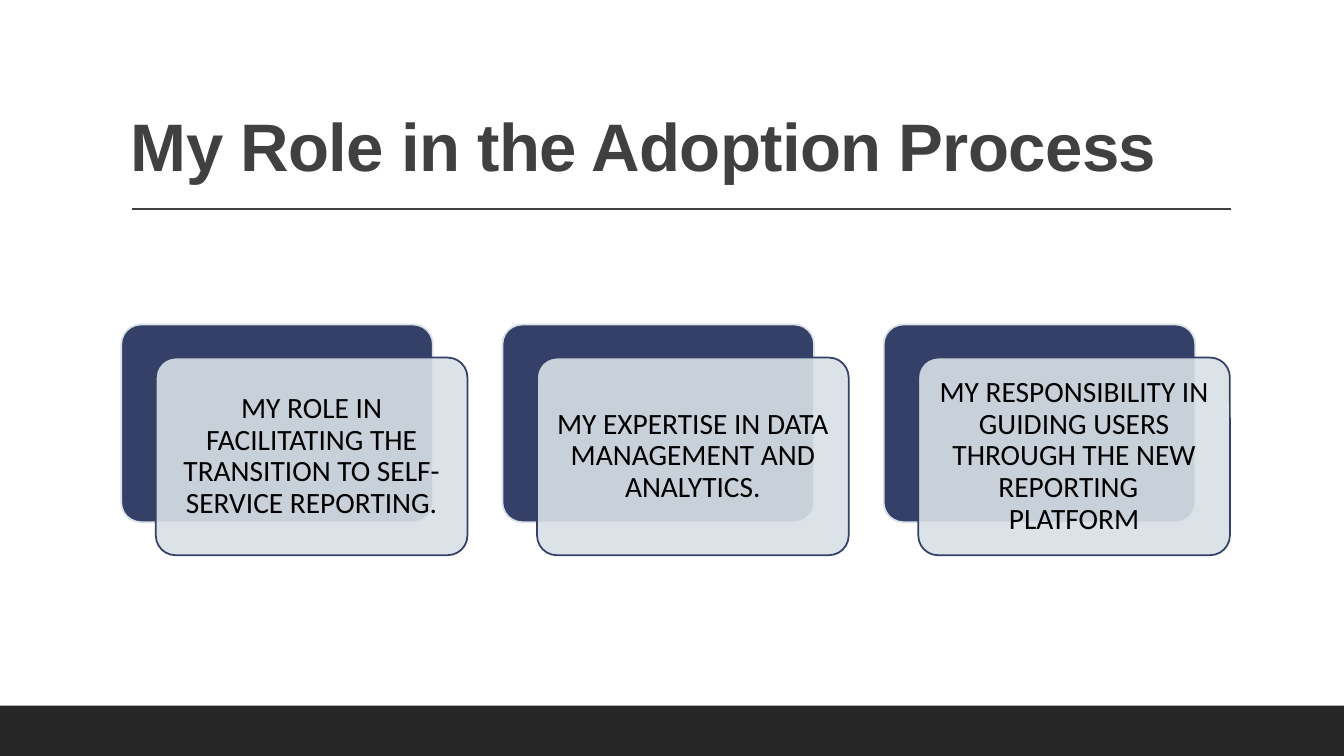
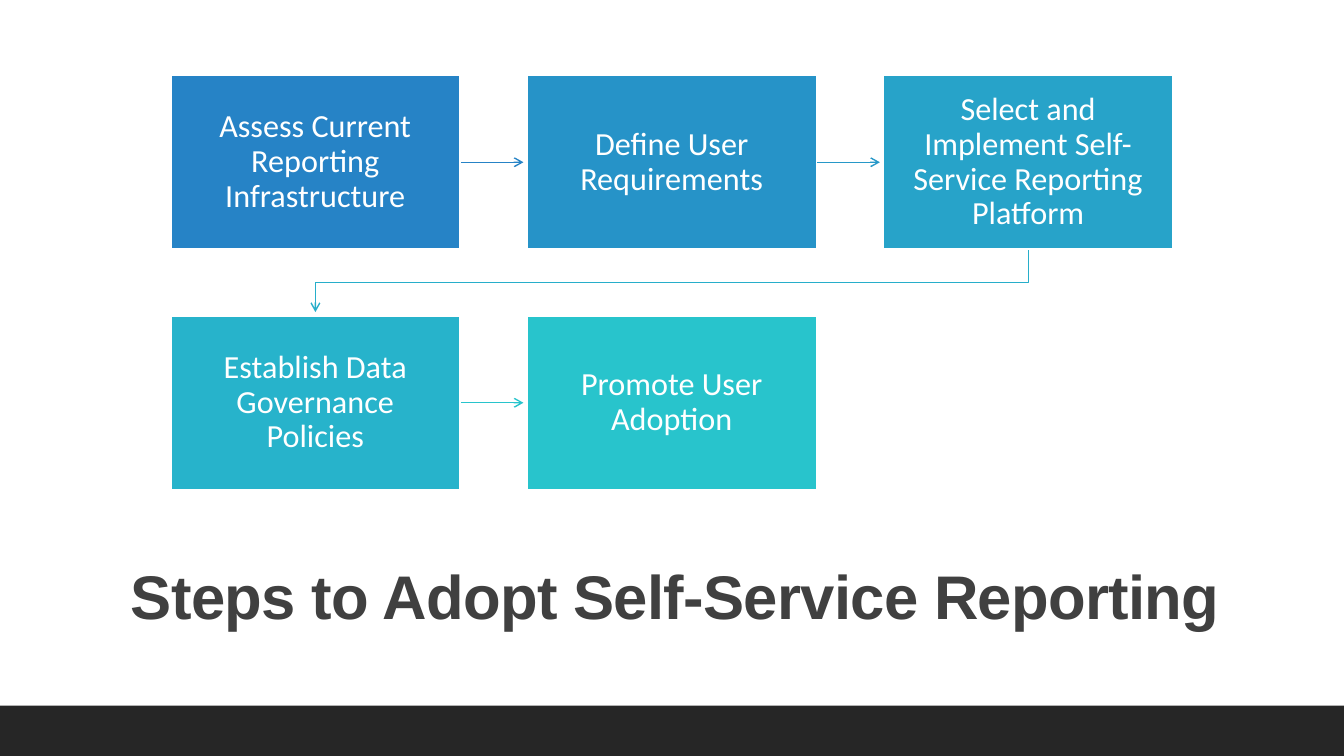
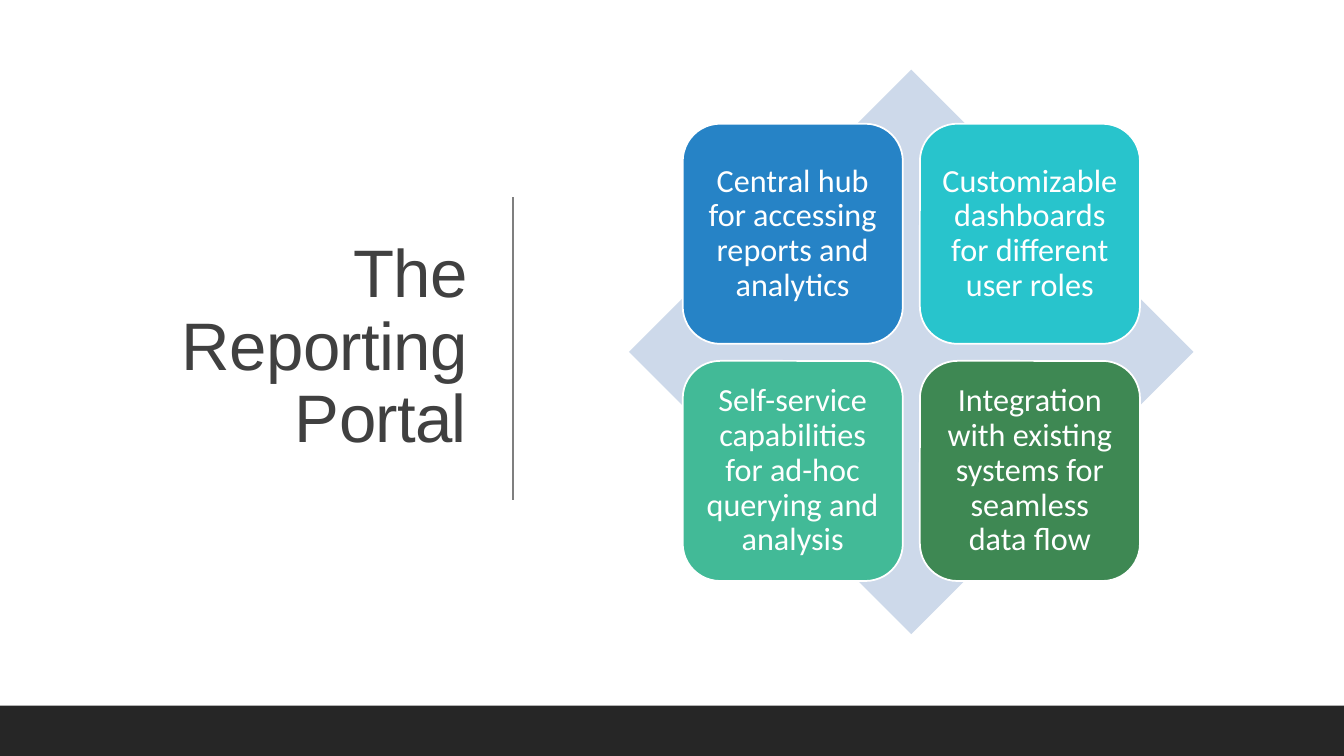
from dataclasses import dataclass
from itertools import pairwise

from lxml.etree import SubElement
from pptx import Presentation
from pptx.dml.color import RGBColor
from pptx.enum.shapes import MSO_CONNECTOR as Connector, MSO_SHAPE as Shape
from pptx.enum.text import MSO_ANCHOR as Anchor, PP_ALIGN as Align
from pptx.oxml.ns import qn
from pptx.util import Pt

SLIDE_W, SLIDE_H = 960, 540
BAND_H = 36
ROUND_TEXT_INSET = 0.29

COLORS = {
    "white": "FFFFFF",
    "black": "000000",
    "title": "404040",
    "divider": "7F7F7F",
    "band": "262626",
    "navy": "344068",
    "mist": "D9E0E6",
    "pale": "CDD9EA",
    "blue": "2683C6",
    "azure": "2693C8",
    "azure_line": "2798C8",
    "cerulean": "27A3C9",
    "cerulean_line": "27AECA",
    "lagoon": "27B3CB",
    "cyan": "28C4CC",
    "mint": "42BA97",
    "green": "3E8853",
}


@dataclass
class Box:
    x: float
    y: float
    w: float
    h: float


@dataclass
class TextStyle:
    size: float
    color: str
    font: str = "Calibri"
    bold: bool = False
    tracking: float = 0
    align: Align = Align.CENTER
    anchor: Anchor = Anchor.MIDDLE
    space_after: float = 10


@dataclass
class Panel:
    text: str
    fill: str


@dataclass
class Step(Panel):
    arrow: str = ""


ROLE_TEXT = TextStyle(21, "black", space_after=9)
PANEL_TEXT = TextStyle(23, "white")

ROLES = [
    "MY ROLE IN FACILITATING THE TRANSITION TO SELF-SERVICE REPORTING.",
    "MY EXPERTISE IN DATA MANAGEMENT AND ANALYTICS.",
    "MY RESPONSIBILITY IN GUIDING USERS THROUGH THE NEW REPORTING \tPLATFORM",
]
STEPS = [
    Step("Assess Current Reporting Infrastructure", "blue", "blue"),
    Step("Define User Requirements", "azure", "azure_line"),
    Step("Select and Implement Self-Service Reporting Platform", "cerulean", "cerulean_line"),
    Step("Establish Data Governance Policies", "lagoon", "cyan"),
    Step("Promote User Adoption", "cyan"),
]
FEATURES = [
    Panel("Central hub for accessing reports and analytics", "blue"),
    Panel("Customizable dashboards for different user roles", "cyan"),
    Panel("Self-service capabilities for ad-hoc querying and analysis", "mint"),
    Panel("Integration with existing systems for seamless data flow", "green"),
]


def rgb(name: str) -> RGBColor:
    return RGBColor.from_string(COLORS[name])


def set_line(sp, color: str, width: float) -> None:
    sp.line.color.rgb = rgb(color)
    sp.line.width = Pt(width)


def write(sp, text: str, style: TextStyle, inset_x: float = 7.2, inset_y: float = 3.6) -> None:
    tf = sp.text_frame
    tf.word_wrap = True
    tf.vertical_anchor = style.anchor
    tf.margin_left = tf.margin_right = Pt(inset_x)
    tf.margin_top = tf.margin_bottom = Pt(inset_y)
    tf.text = text
    p = tf.paragraphs[0]
    p.alignment = style.align
    p.line_spacing = 0.9
    p.space_after = Pt(style.space_after)
    for r in p.runs:
        r.font.name = style.font
        r.font.size = Pt(style.size)
        r.font.bold = style.bold
        r.font.color.rgb = rgb(style.color)
        if style.tracking:
            r.font._element.set("spc", str(round(style.tracking * 100)))


def add_box(s, kind: Shape, box: Box, fill: str, line: str = "", alpha: int = 100):
    sp = s.shapes.add_shape(kind, Pt(box.x), Pt(box.y), Pt(box.w), Pt(box.h))
    sp.shadow.inherit = False
    sp.fill.solid()
    sp.fill.fore_color.rgb = rgb(fill)
    if alpha < 100:
        clr = sp.element.spPr.find(qn("a:solidFill"))[0]
        SubElement(clr, qn("a:alpha")).set("val", str(alpha * 1000))
    if line:
        set_line(sp, line, 1.25)
    else:
        sp.line.fill.background()
    return sp


def add_rounded(s, box: Box, ratio: float, fill: str, line: str, alpha: int = 100):
    sp = add_box(s, Shape.ROUNDED_RECTANGLE, box, fill, line, alpha)
    sp.adjustments[0] = ratio
    return sp


def write_rounded(sp, text: str, style: TextStyle, box: Box, ratio: float, inset: float) -> None:
    margin = inset - ROUND_TEXT_INSET * ratio * min(box.w, box.h)
    write(sp, text, style, margin, margin)


def add_line(s, x1: float, y1: float, x2: float, y2: float, color: str):
    cn = s.shapes.add_connector(Connector.STRAIGHT, Pt(x1), Pt(y1), Pt(x2), Pt(y2))
    set_line(cn, color, 1)
    SubElement(cn.element.spPr, qn("a:effectLst"))
    return cn


def add_arrowhead(sp) -> None:
    ln = sp.element.spPr.find(qn("a:ln"))
    SubElement(ln, qn("a:tailEnd")).set("type", "arrow")


def add_bent_arrow(s, points: list[tuple[float, float]], color: str) -> None:
    start, *rest = [(Pt(x), Pt(y)) for x, y in points]
    builder = s.shapes.build_freeform(*start)
    builder.add_line_segments(rest, close=False)
    sp = builder.convert_to_shape()
    sp.shadow.inherit = False
    sp.fill.background()
    set_line(sp, color, 1)
    add_arrowhead(sp)


def new_slide(prs, title: str, box: Box, size: float, bold: bool = True,
              align: Align = Align.CENTER, anchor: Anchor = Anchor.MIDDLE):
    s = prs.slides.add_slide(prs.slide_layouts[6])
    add_box(s, Shape.RECTANGLE, Box(0, SLIDE_H - BAND_H, SLIDE_W, BAND_H), "band")
    tb = s.shapes.add_textbox(Pt(box.x), Pt(box.y), Pt(box.w), Pt(box.h))
    write(tb, title, TextStyle(size, "title", "Arial", bold, -0.5, align, anchor, 0))
    return s


def build_role(prs) -> None:
    s = new_slide(prs, "My Role in the Adoption Process", Box(86.4, 22.4, 792, 114.4),
                  48, align=Align.LEFT, anchor=Anchor.BOTTOM)
    add_line(s, 94.4, 149.2, 879, 149.2, "title")
    ratio, pitch, shift = 0.1, 272.3, (24.7, 23.6)
    for i, text in enumerate(ROLES):
        back = Box(86.6 + i * pitch, 231.8, 222.6, 141.2)
        front = Box(back.x + shift[0], back.y + shift[1], back.w, back.h)
        add_rounded(s, back, ratio, "navy", "mist")
        sp = add_rounded(s, front, ratio, "mist", "navy", 90)
        write_rounded(sp, text, ROLE_TEXT, front, ratio, 10.8)


def build_steps(prs) -> None:
    s = new_slide(prs, "Steps to Adopt Self-Service Reporting", Box(86.4, 381.6, 792, 93.6), 44)
    cols, gap_x, gap_y, tip = 3, 48, 47.6, 2.7
    w, h = 206.6, 124.2
    boxes = [Box(122 + i % cols * (w + gap_x), 53.8 + i // cols * (h + gap_y), w, h)
             for i in range(len(STEPS))]
    for box, step in zip(boxes, STEPS):
        sp = add_box(s, Shape.RECTANGLE, box, step.fill, "white")
        write(sp, step.text, PANEL_TEXT, 10.1, 10.6)
    for step, (a, b) in zip(STEPS, pairwise(boxes)):
        if a.y == b.y:
            mid = a.y + h / 2
            add_arrowhead(add_line(s, a.x + w + 0.6, mid, b.x - tip, mid, step.arrow))
        else:
            x1, x2, mid = a.x + w / 2, b.x + w / 2, b.y - gap_y / 2
            points = [(x1, a.y + h + 0.6), (x1, mid), (x2, mid), (x2, b.y - tip)]
            add_bent_arrow(s, points, step.arrow)


def build_portal(prs) -> None:
    s = new_slide(prs, "The Reporting Portal", Box(50.4, 49.7, 290.2, 398.2),
                  48, bold=False, align=Align.RIGHT)
    add_line(s, 366.5, 141, 366.5, 357, "divider")
    add_box(s, Shape.DIAMOND, Box(449.3, 49.8, 403.2, 403.2), "pale")
    ratio, size, pitch = 0.17, 157.2, 169.4
    for i, feature in enumerate(FEATURES):
        row, col = divmod(i, 2)
        box = Box(487.7 + col * pitch, 88.4 + row * pitch, size, size)
        sp = add_rounded(s, box, ratio, feature.fill, "white")
        write_rounded(sp, feature.text, PANEL_TEXT, box, ratio, 14.2)


def main() -> None:
    prs = Presentation()
    prs.slide_width, prs.slide_height = Pt(SLIDE_W), Pt(SLIDE_H)
    build_role(prs)
    build_steps(prs)
    build_portal(prs)
    prs.save("out.pptx")


if __name__ == "__main__":
    main()
